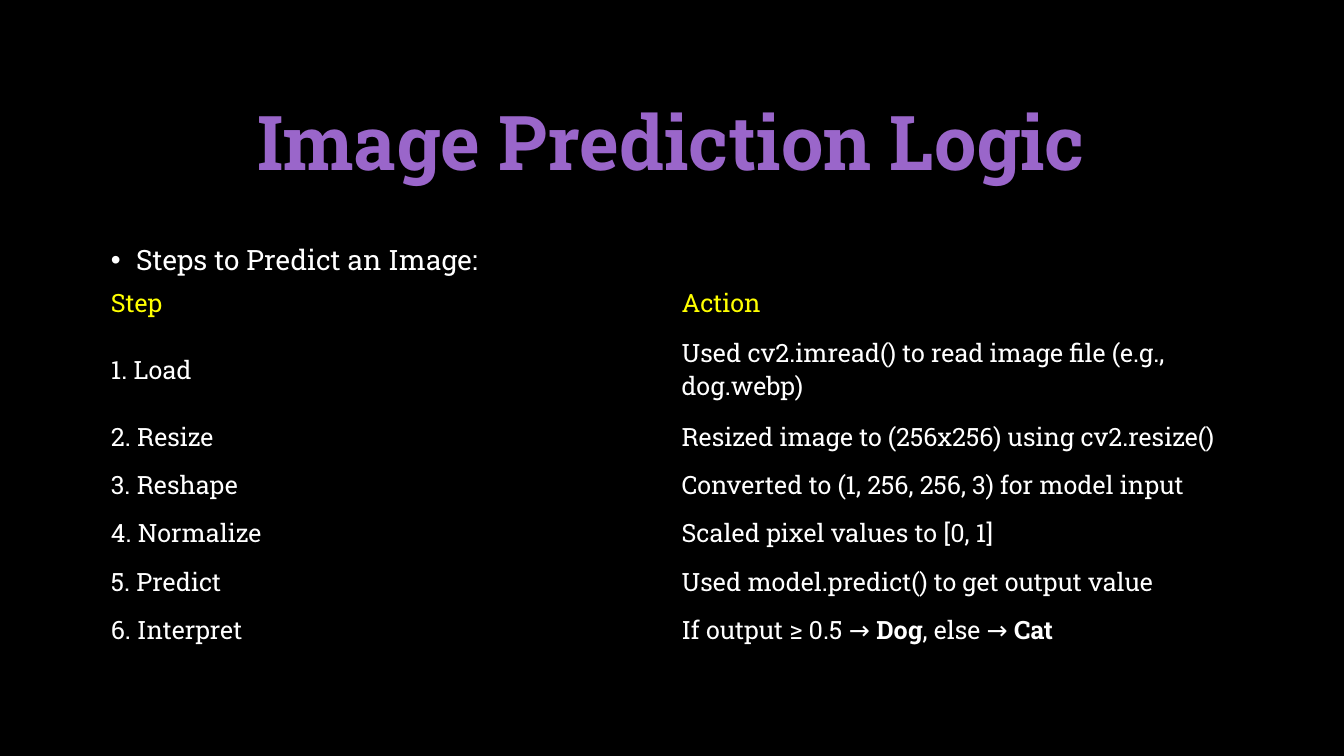
from lxml.etree import SubElement
from pptx import Presentation
from pptx.dml.color import RGBColor
from pptx.enum.text import MSO_ANCHOR, MSO_AUTO_SIZE, PP_ALIGN
from pptx.oxml.ns import qn
from pptx.util import Inches, Pt

FONT = "Roboto Slab"
BLACK, WHITE, YELLOW, PURPLE = "000000", "FFFFFF", "FFFF00", "9A66CA"
PLAIN_TABLE_STYLE = "{2D5ABB26-0587-4C30-8999-92F81FD0307C}"
STEPS = [
    ("Step", ["Action"]),
    ("1. Load", ["Used cv2.imread() to read image file (e.g., dog.webp)"]),
    ("2. Resize", ["Resized image to (256x256) using cv2.resize()"]),
    ("3. Reshape", ["Converted to (1, 256, 256, 3) for model input"]),
    ("4. Normalize", ["Scaled pixel values to [0, 1]"]),
    ("5. Predict", ["Used model.predict() to get output value"]),
    ("6. Interpret", ["If output ≥ 0.5 → ", "Dog", ", else → ", "Cat"]),
]


def color(value):
    return RGBColor.from_string(value)


def style(paragraph, size, value, bold=False):
    font = paragraph.font
    font.name, font.size, font.bold = FONT, Pt(size), bold
    font.color.rgb = color(value)


def place(part, left, top, width, height):
    part.left, part.top = Inches(left), Inches(top)
    part.width, part.height = Inches(width), Inches(height)


def add_heading(heading, box):
    place(heading, *box)
    frame = heading.text_frame
    frame.text = "Image Prediction Logic"
    frame.word_wrap = False
    frame.auto_size = MSO_AUTO_SIZE.NONE
    frame.vertical_anchor = MSO_ANCHOR.MIDDLE
    paragraph = frame.paragraphs[0]
    paragraph.alignment = PP_ALIGN.CENTER
    style(paragraph, 54, PURPLE, bold=True)


def add_intro(intro, box):
    place(intro, *box)
    frame = intro.text_frame
    frame.text = "Steps to Predict an Image:"
    frame.auto_size = MSO_AUTO_SIZE.NONE
    frame.vertical_anchor = MSO_ANCHOR.TOP
    paragraph = frame.paragraphs[0]
    paragraph.line_spacing = 1.2
    paragraph.space_before = Pt(0)
    properties = paragraph._p.get_or_add_pPr()
    properties.set("marL", str(Inches(0.25)))
    properties.set("indent", str(-Inches(0.25)))
    SubElement(properties, qn("a:buFont")).set("typeface", "Arial")
    SubElement(properties, qn("a:buChar")).set("char", "•")
    style(paragraph, 20, WHITE)


def fill_cell(cell, pieces, value):
    cell.fill.background()
    cell.vertical_anchor = MSO_ANCHOR.MIDDLE
    paragraph = cell.text_frame.paragraphs[0]
    style(paragraph, 18, value)
    for index, piece in enumerate(pieces):
        run = paragraph.add_run()
        run.text = piece
        if index % 2:
            run.font.bold = True


def add_steps(slide, left, top, width, row_height):
    frame = slide.shapes.add_table(
        len(STEPS), 2, Inches(left), Inches(top),
        Inches(width), Inches(row_height * len(STEPS)))
    table = frame.table
    table.first_row = table.horz_banding = False
    table._tbl.tblPr.find(qn("a:tableStyleId")).text = PLAIN_TABLE_STYLE
    for index, (step, action) in enumerate(STEPS):
        table.rows[index].height = Inches(0.85 if index == 1 else row_height)
        value = WHITE if index else YELLOW
        fill_cell(table.cell(index, 0), [step], value)
        fill_cell(table.cell(index, 1), action, value)


def build_prediction_slide(deck):
    slide = deck.slides.add_slide(deck.slide_layouts[1])
    slide.background.fill.solid()
    slide.background.fill.fore_color.rgb = color(BLACK)
    add_intro(slide.placeholders[1], (1, 2.29, 11.32, 4.04))
    add_heading(slide.shapes.title, (2.18, 0.89, 8.96, 1.01))
    add_steps(slide, 1, 2.76, 11.32, 0.48)


def main():
    deck = Presentation()
    deck.slide_width, deck.slide_height = Inches(13.33), Inches(7.5)
    build_prediction_slide(deck)
    deck.save("out.pptx")


if __name__ == "__main__":
    main()
